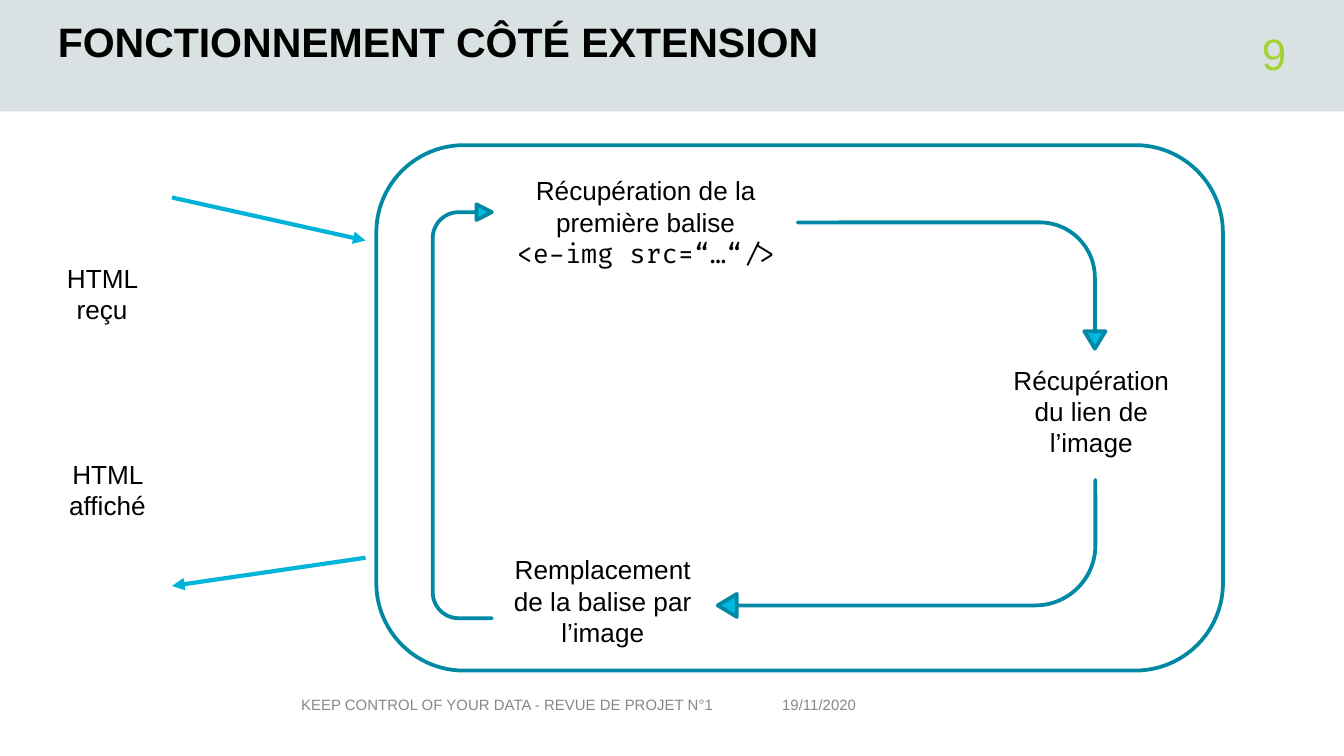
from dataclasses import dataclass

from lxml.etree import SubElement
from pptx import Presentation
from pptx.dml.color import RGBColor
from pptx.enum.shapes import MSO_CONNECTOR, MSO_SHAPE
from pptx.enum.text import MSO_ANCHOR, MSO_AUTO_SIZE, PP_ALIGN
from pptx.oxml.ns import qn
from pptx.shapes.autoshape import Shape
from pptx.slide import Slide
from pptx.util import Inches, Pt

# Grid of square cells on a 16:9 slide: 100 columns across, 56.25 rows down.
CELL = Inches(0.1)
COLUMNS, ROWS = 100, 56.25

COLORS = {
    "band": "D9E1E2",
    "ink": "000000",
    "footer": "878787",
    "number": "A4D233",
    "outline": "0088A4",
    "arrow": "00B8DE",
    "flow": "00B4D9",
}
BODY_FONT, CODE_FONT = "Arial", "Fira Code"


@dataclass(frozen=True)
class Area:
    col: float
    row: float
    cols: float
    rows: float

    def emu(self) -> list[int]:
        return [grid(n) for n in (self.col, self.row, self.cols, self.rows)]


@dataclass(frozen=True)
class Caption:
    """Text without insets, belonging to the frame of the slide."""
    area: Area
    text: str
    size: float
    color: str
    anchor: MSO_ANCHOR = MSO_ANCHOR.BOTTOM
    align: PP_ALIGN = PP_ALIGN.LEFT
    bold: bool = False


@dataclass(frozen=True)
class Step:
    area: Area
    text: str
    code: str = ""


@dataclass(frozen=True)
class LoopArrow:
    area: Area
    preset: MSO_SHAPE
    rotation: float
    adjustments: tuple[float, ...]


@dataclass(frozen=True)
class Flow:
    start: tuple[float, float]
    end: tuple[float, float]


BEND = (0, 0.084, 0.139, 0.438)
U_TURN = (0, 0.133, 0.261, 0.438, 1)

BAND = Area(0, 0, COLUMNS, 8.3)
EXTENSION = Area(28, 10.8, 63, 39.1)

CAPTIONS = [
    Caption(Area(4.3, 0, 79.1, 4.9), "FONCTIONNEMENT CÔTÉ EXTENSION", 22, "ink", bold=True),
    Caption(Area(58.2, 49.9, 21.7, 3.2), "19/11/2020", 8, "footer"),
    Caption(Area(22.4, 49.9, 31.5, 3.2),
            "KEEP CONTROL OF YOUR DATA - REVUE DE PROJET N°1", 8, "footer"),
    Caption(Area(83.4, 2.3, 12.3, 3.3), "9", 23.5, "number",
            MSO_ANCHOR.MIDDLE, PP_ALIGN.RIGHT),
]
STEPS = [
    Step(Area(73.6, 26.6, 15.2, 8.1), "Récupération du lien de l’image"),
    Step(Area(37.2, 12.5, 21.7, 8.1), "Récupération de la première balise",
         "<e-img src=“…“/>"),
    Step(Area(37, 40.7, 15.7, 8.1), "Remplacement de la balise par l’image"),
    Step(Area(2.4, 19, 10.4, 5.7), "HTML reçu"),
    Step(Area(2.8, 33.6, 10.4, 5.7), "HTML affiché"),
]
FLOWS = [
    Flow((12.8, 14.7), (27.2, 17.9)),
    Flow((27.2, 41.5), (12.8, 43.6)),
]
LOOP = [
    LoopArrow(Area(19, 28.4, 30.8, 4.4), MSO_SHAPE.U_TURN_ARROW, 270, U_TURN),
    LoopArrow(Area(66.1, 9.8, 9.4, 22.9), MSO_SHAPE.BENT_ARROW, 90, BEND),
    LoopArrow(Area(53.4, 35.7, 28.1, 10.2), MSO_SHAPE.BENT_ARROW, 180, BEND),
]


def grid(cells: float) -> int:
    return round(cells * CELL)


def rgb(name: str) -> RGBColor:
    return RGBColor.from_string(COLORS[name])


def add_band(slide: Slide) -> None:
    band = slide.shapes.add_shape(MSO_SHAPE.RECTANGLE, *BAND.emu())
    band.shadow.inherit = False
    band.fill.solid()
    band.fill.fore_color.rgb = rgb("band")
    band.line.fill.background()


def add_caption(slide: Slide, caption: Caption) -> None:
    frame = slide.shapes.add_textbox(*caption.area.emu()).text_frame
    frame.word_wrap = True
    frame.vertical_anchor = caption.anchor
    frame.margin_left = frame.margin_right = frame.margin_top = frame.margin_bottom = 0
    frame.text = caption.text
    paragraph = frame.paragraphs[0]
    paragraph.alignment = caption.align
    font = paragraph.runs[0].font
    font.name, font.size, font.bold = BODY_FONT, Pt(caption.size), caption.bold
    font.color.rgb = rgb(caption.color)


def add_step(slide: Slide, step: Step) -> None:
    frame = slide.shapes.add_textbox(*step.area.emu()).text_frame
    frame.word_wrap = True
    frame.auto_size = MSO_AUTO_SIZE.SHAPE_TO_FIT_TEXT
    frame.text = step.text
    if step.code:
        frame.add_paragraph().text = step.code
    for paragraph, face in zip(frame.paragraphs, (BODY_FONT, CODE_FONT)):
        paragraph.alignment = PP_ALIGN.CENTER
        font = paragraph.runs[0].font
        font.name, font.size = face, Pt(14)
        font.color.rgb = rgb("ink")


def add_outlined(slide: Slide, preset: MSO_SHAPE, area: Area) -> Shape:
    shape = slide.shapes.add_shape(preset, *area.emu())
    shape.shadow.inherit = False
    shape.fill.background()
    shape.line.color.rgb = rgb("outline")
    shape.line.width = Pt(2)
    return shape


def add_loop_arrow(slide: Slide, arrow: LoopArrow) -> None:
    shape = add_outlined(slide, arrow.preset, arrow.area)
    shape.rotation = arrow.rotation
    shape.fill.solid()
    shape.fill.fore_color.rgb = rgb("arrow")
    for index, value in enumerate(arrow.adjustments):
        shape.adjustments[index] = value


def add_flow(slide: Slide, flow: Flow) -> None:
    ends = [grid(n) for n in (*flow.start, *flow.end)]
    connector = slide.shapes.add_connector(MSO_CONNECTOR.STRAIGHT, *ends)
    connector.line.color.rgb = rgb("flow")
    connector.line.width = Pt(2.25)
    properties = connector._element.spPr
    SubElement(properties.find(qn("a:ln")), qn("a:tailEnd"), type="triangle")
    SubElement(properties, qn("a:effectLst"))


def main() -> None:
    deck = Presentation()
    deck.slide_width, deck.slide_height = grid(COLUMNS), grid(ROWS)
    slide = deck.slides.add_slide(deck.slide_layouts[6])
    add_band(slide)
    for caption in CAPTIONS:
        add_caption(slide, caption)
    add_outlined(slide, MSO_SHAPE.FLOWCHART_ALTERNATE_PROCESS, EXTENSION)
    for flow in FLOWS:
        add_flow(slide, flow)
    for arrow in LOOP:
        add_loop_arrow(slide, arrow)
    for step in STEPS:
        add_step(slide, step)
    deck.save("out.pptx")


if __name__ == "__main__":
    main()
